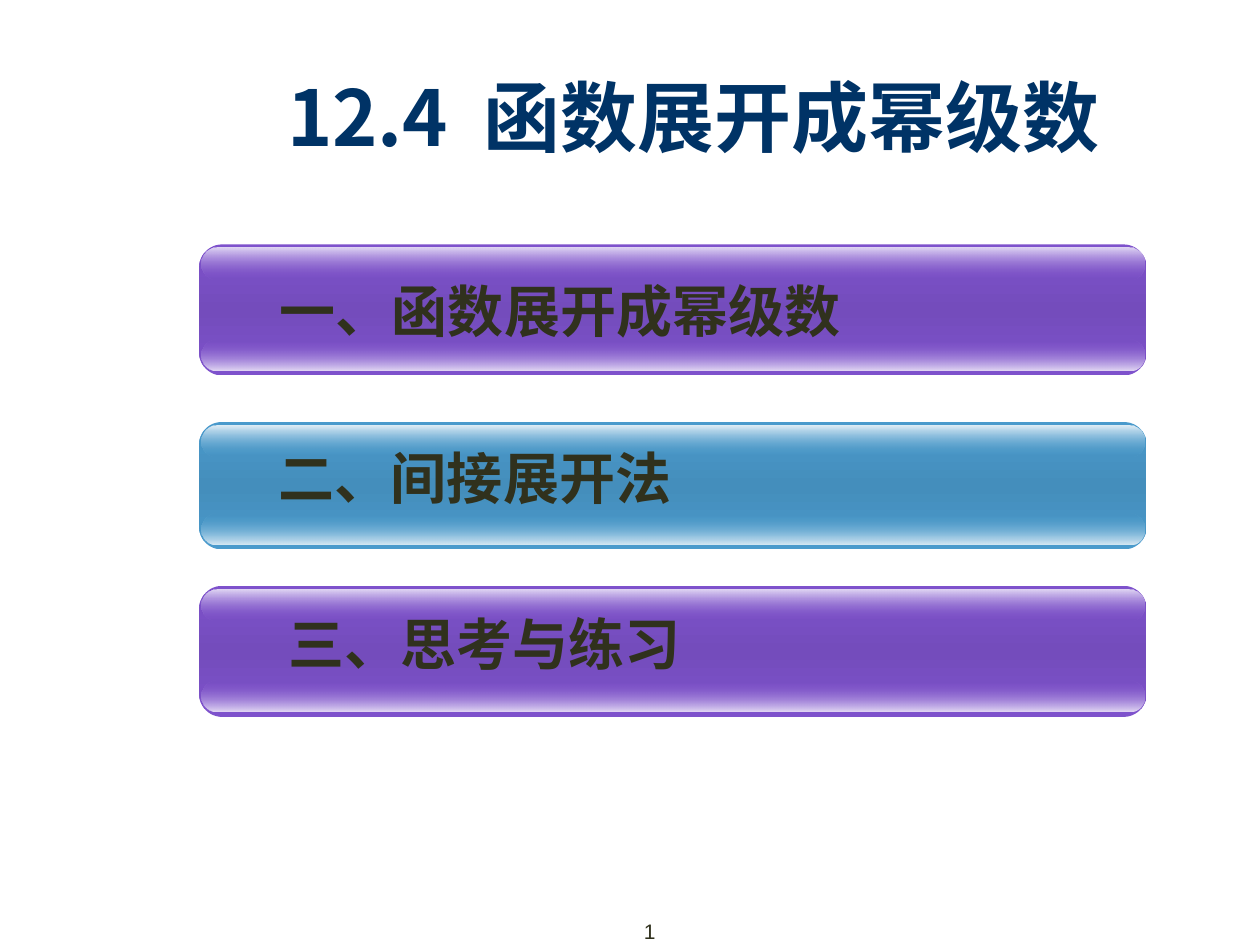
from dataclasses import dataclass

from lxml.etree import SubElement
from pptx import Presentation
from pptx.dml.color import RGBColor
from pptx.enum.shapes import MSO_SHAPE
from pptx.enum.text import MSO_ANCHOR, PP_ALIGN
from pptx.oxml.ns import qn
from pptx.shapes.autoshape import Shape
from pptx.slide import Slide
from pptx.text.text import TextFrame
from pptx.util import Pt

NAVY = RGBColor(0x00, 0x33, 0x66)
INK = RGBColor(0x30, 0x31, 0x1D)
PURPLE = RGBColor(0x7E, 0x52, 0xCC)
PURPLE_DEEP = RGBColor(0x74, 0x4C, 0xBC)
PURPLE_TOP = RGBColor(0xE2, 0xD8, 0xF4)
PURPLE_BOTTOM = RGBColor(0xE5, 0xDC, 0xF5)
BLUE = RGBColor(0x4A, 0x9A, 0xCC)
BLUE_DEEP = RGBColor(0x44, 0x8E, 0xBC)
BLUE_TOP = RGBColor(0xE3, 0xEF, 0xF7)
BLUE_BOTTOM = RGBColor(0xDC, 0xEC, 0xF5)

CHINESE_FONT = "Noto Sans CJK SC"
BAR_LEFT, BAR_WIDTH = 113.8, 541.4
GLOSS_INSET = 1.4
GLOSS_SHARE = 0.24


@dataclass(frozen=True)
class Stop:
    position: int
    color: RGBColor
    opaque: bool = True


@dataclass(frozen=True)
class Palette:
    edge: RGBColor
    middle: RGBColor
    top_gloss: RGBColor
    bottom_gloss: RGBColor


@dataclass(frozen=True)
class Section:
    text: str
    top: float
    height: float
    text_left: float
    text_middle: float
    palette: Palette


PURPLES = Palette(PURPLE, PURPLE_DEEP, PURPLE_TOP, PURPLE_BOTTOM)
BLUES = Palette(BLUE, BLUE_DEEP, BLUE_TOP, BLUE_BOTTOM)
SECTIONS = [
    Section("一、函数展开成幂级数", 139.7, 74.9, 160, 177.1, PURPLES),
    Section("二、间接展开法", 241.2, 72.7, 159.4, 272.9, BLUES),
    Section("三、思考与练习", 334.8, 74.9, 164.6, 367.2, PURPLES),
]


def add_run(frame: TextFrame, text: str, size: float, color: RGBColor,
            font_name: str = CHINESE_FONT, bold: bool = True):
    run = frame.paragraphs[0].add_run()
    run.text = text
    font = run.font
    font.size, font.bold, font.name = Pt(size), bold, font_name
    font.color.rgb = color
    properties = run._r.get_or_add_rPr()
    SubElement(properties, qn("a:ea"), typeface=font_name)
    return run


def set_vertical_gradient(shape: Shape, stops: list[Stop]) -> None:
    shape.fill.gradient()
    shape.fill.gradient_angle = 270  # counter-clockwise: top to bottom
    stop_list = shape._element.spPr.find(qn("a:gradFill")).find(qn("a:gsLst"))
    for old_stop in list(stop_list):
        stop_list.remove(old_stop)
    for stop in stops:
        element = SubElement(stop_list, qn("a:gs"), pos=str(stop.position * 1000))
        color = SubElement(element, qn("a:srgbClr"), val=str(stop.color))
        if not stop.opaque:
            SubElement(color, qn("a:alpha"), val="0")


def add_rounded_bar(slide: Slide, left: float, top: float, width: float,
                    height: float, rounding: float, stops: list[Stop]) -> None:
    shape = slide.shapes.add_shape(MSO_SHAPE.ROUNDED_RECTANGLE,
                                   Pt(left), Pt(top), Pt(width), Pt(height))
    shape.adjustments[0] = rounding
    shape.shadow.inherit = False
    shape.line.fill.background()
    set_vertical_gradient(shape, stops)


def add_text_box(slide: Slide, left: float, top: float, width: float,
                 height: float) -> TextFrame:
    box = slide.shapes.add_textbox(Pt(left), Pt(top), Pt(width), Pt(height))
    frame = box.text_frame
    frame.word_wrap = True
    return frame


def add_section(slide: Slide, section: Section) -> None:
    palette = section.palette
    add_rounded_bar(slide, BAR_LEFT, section.top, BAR_WIDTH, section.height, 0.175,
                    [Stop(0, palette.edge), Stop(50, palette.middle),
                     Stop(100, palette.edge)])

    # Glossy bands along the bottom and top edges
    gloss_height = section.height * GLOSS_SHARE
    bottom_top = section.top + section.height - gloss_height - 2.8
    fade = palette.edge
    for top, stops in (
        (bottom_top, [Stop(0, fade, False), Stop(100, palette.bottom_gloss)]),
        (section.top + 2, [Stop(0, palette.top_gloss), Stop(100, fade, False)]),
    ):
        add_rounded_bar(slide, BAR_LEFT + GLOSS_INSET, top,
                        BAR_WIDTH - 2 * GLOSS_INSET, gloss_height, 0.5, stops)

    # Section heading
    text_height = 46
    frame = add_text_box(slide, section.text_left,
                         section.text_middle - text_height / 2,
                         BAR_LEFT + BAR_WIDTH - section.text_left, text_height)
    frame.margin_left = 0
    frame.vertical_anchor = MSO_ANCHOR.MIDDLE
    add_run(frame, section.text, 32, INK)


def add_title(slide: Slide) -> None:
    title = slide.shapes.title
    title.left, title.top, title.width, title.height = (
        Pt(103), Pt(25.9), Pt(532.8), Pt(79.9))
    frame = title.text_frame
    frame.vertical_anchor = MSO_ANCHOR.MIDDLE
    frame.paragraphs[0].alignment = PP_ALIGN.RIGHT
    add_run(frame, "12.4", 44, NAVY)
    gap = add_run(frame, " ", 44, NAVY)
    gap._r.get_or_add_rPr().set("spc", "1000")  # widened gap after the number
    add_run(frame, "函数展开成幂级数", 44, NAVY)


def add_page_number(slide: Slide) -> None:
    frame = add_text_box(slide, 329.8, 521.3, 51.8, 18.7)
    frame.paragraphs[0].alignment = PP_ALIGN.RIGHT
    add_run(frame, "1", 12, INK, "Arial", False)


def main() -> None:
    presentation = Presentation()
    presentation.slide_width, presentation.slide_height = Pt(720), Pt(540)
    slide = presentation.slides.add_slide(presentation.slide_layouts[5])
    add_title(slide)
    for section in SECTIONS:
        add_section(slide, section)
    add_page_number(slide)
    presentation.save("out.pptx")


if __name__ == "__main__":
    main()
